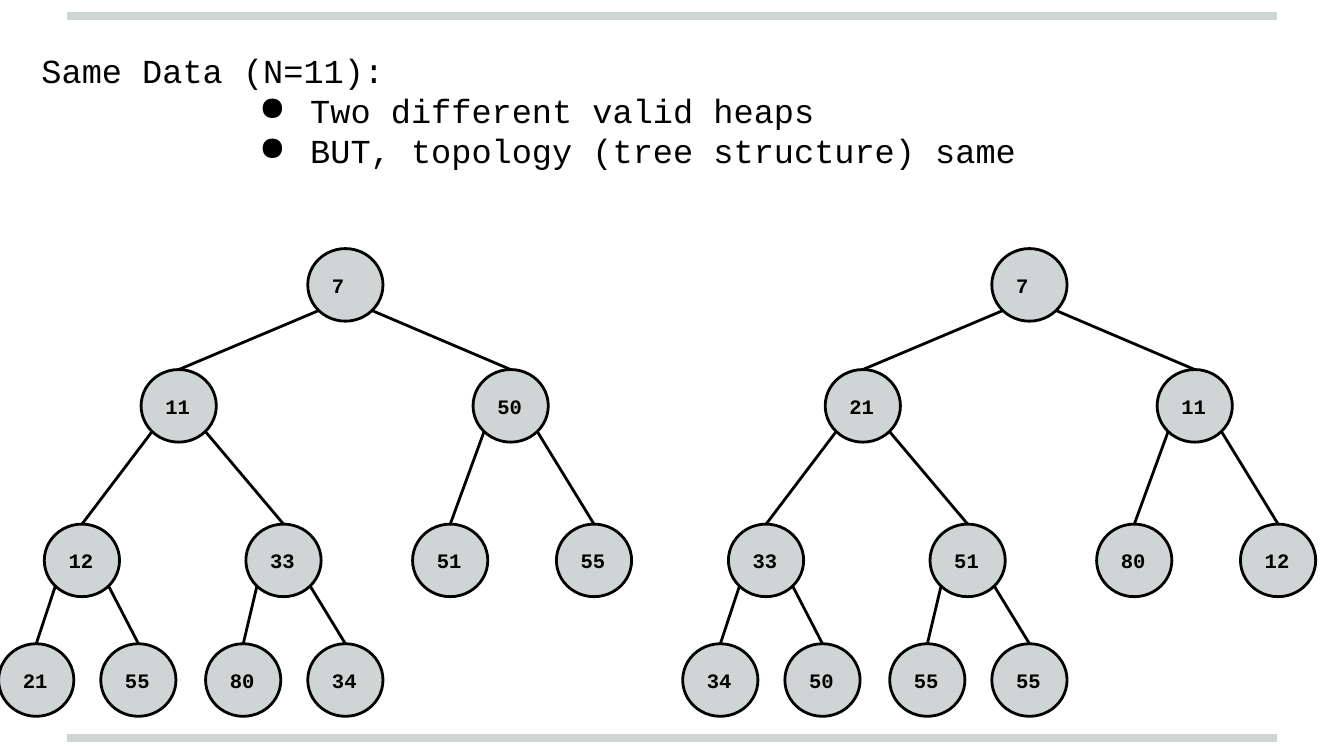
import math

import pptx
import pptx.dml.color
import pptx.enum.shapes
import pptx.enum.text
import pptx.oxml
import pptx.util
from pptx.util import Inches

GREY = pptx.dml.color.RGBColor(0xCF, 0xD4, 0xD4)
BLACK = pptx.dml.color.RGBColor(0x00, 0x00, 0x00)
FONT = "Courier New"

NODE_WIDTH, NODE_HEIGHT = 0.56, 0.54
# Left edge of each node, in heap order, and top edge of each tree level.
NODE_LEFTS = [2.3, 1.06, 3.53, 0.34, 1.84, 3.08, 4.15, 0, 0.76, 1.54, 2.3]
LEVEL_TOPS = [0, 0.9, 2.05, 2.94]

FIRST_HEAP = [7, 11, 50, 12, 33, 51, 55, 21, 55, 80, 34]
SECOND_HEAP = [7, 21, 11, 33, 51, 80, 12, 34, 50, 55, 55]


def add_line(page, start, end, color, width):
    line = page.shapes.add_connector(
        pptx.enum.shapes.MSO_CONNECTOR.STRAIGHT,
        *(Inches(length) for length in (*start, *end)),
    )
    line.line.color.rgb = color
    line.line.width = pptx.util.Pt(width)
    properties = line._element.spPr
    properties.append(properties.makeelement(pptx.oxml.ns.qn("a:effectLst"), {}))


def style_paragraph(para, size, bold=False):
    para.alignment = pptx.enum.text.PP_ALIGN.LEFT
    for span in para.runs:
        span.font.name = FONT
        span.font.size = pptx.util.Pt(size)
        span.font.bold = bold
        span.font.color.rgb = BLACK


def set_margins(frame, margin):
    frame.margin_left = frame.margin_right = Inches(margin)
    frame.margin_top = frame.margin_bottom = Inches(margin)


def add_bullet(para, left, hanging):
    properties = para._p.get_or_add_pPr()
    properties.set("marL", str(Inches(left)))
    properties.set("indent", str(-Inches(hanging)))
    color = pptx.oxml.parse_xml(
        f'<a:buClr {pptx.oxml.ns.nsdecls("a")}><a:srgbClr val="{BLACK}"/></a:buClr>'
    )
    properties.append(color)
    properties.append(
        properties.makeelement(pptx.oxml.ns.qn("a:buChar"), {"char": "●"})
    )


def add_rules(page, left, right, tops):
    for top in tops:
        add_line(page, (left, top), (right, top), GREY, 4)


def add_heading(page, left, top, width, height):
    box = page.shapes.add_textbox(*map(Inches, (left, top, width, height)))
    frame = box.text_frame
    frame.word_wrap = True
    set_margins(frame, 0.1)
    frame.text = (
        "Same Data (N=11):\n"
        "Two different valid heaps\n"
        "BUT, topology (tree structure) same"
    )
    for para in frame.paragraphs:
        style_paragraph(para, 18)
    for para in frame.paragraphs[1:]:
        add_bullet(para, 2, 0.38)


def add_node(page, left, top, value):
    node = page.shapes.add_shape(
        pptx.enum.shapes.MSO_SHAPE.OVAL,
        *map(Inches, (left, top, NODE_WIDTH, NODE_HEIGHT)),
    )
    node.shadow.inherit = False
    node.fill.solid()
    node.fill.fore_color.rgb = GREY
    node.line.color.rgb = BLACK
    node.line.width = pptx.util.Pt(1.5)
    frame = node.text_frame
    set_margins(frame, 0.1)
    frame.vertical_anchor = pptx.enum.text.MSO_ANCHOR.MIDDLE
    frame.text = str(value)
    style_paragraph(frame.paragraphs[0], 11, bold=True)


def add_edge(page, parent, child, side):
    """Join the parent's lower diagonal (side -1 left, 1 right) to the child's top."""
    reach = math.sqrt(0.5)
    start = (
        parent[0] + NODE_WIDTH / 2 * (1 + side * reach),
        parent[1] + NODE_HEIGHT / 2 * (1 + reach),
    )
    add_line(page, start, (child[0] + NODE_WIDTH / 2, child[1]), BLACK, 1.5)


def add_heap(page, left, top, values):
    """Draw a binary heap whose children of node i are nodes 2i+1 and 2i+2."""
    places = [
        (left + node_left, top + LEVEL_TOPS[int(math.log2(index + 1))])
        for index, node_left in enumerate(NODE_LEFTS)
    ]
    for place, value in zip(places, values):
        add_node(page, *place, value)
    for index in range(1, len(places)):
        side = -1 if index % 2 else 1
        add_edge(page, places[(index - 1) // 2], places[index], side)


def main():
    deck = pptx.Presentation()
    deck.slide_width = Inches(10)
    deck.slide_height = deck.slide_width * 9 // 16
    page = deck.slides.add_slide(deck.slide_layouts[6])
    add_rules(page, 0.5, 9.5, (5.49, 0.12))
    add_heap(page, -0.01, 1.85, FIRST_HEAP)
    add_heap(page, 5.08, 1.85, SECOND_HEAP)
    add_heading(page, 0.21, 0.27, 9.58, 1.4)
    deck.save("out.pptx")


if __name__ == "__main__":
    main()
